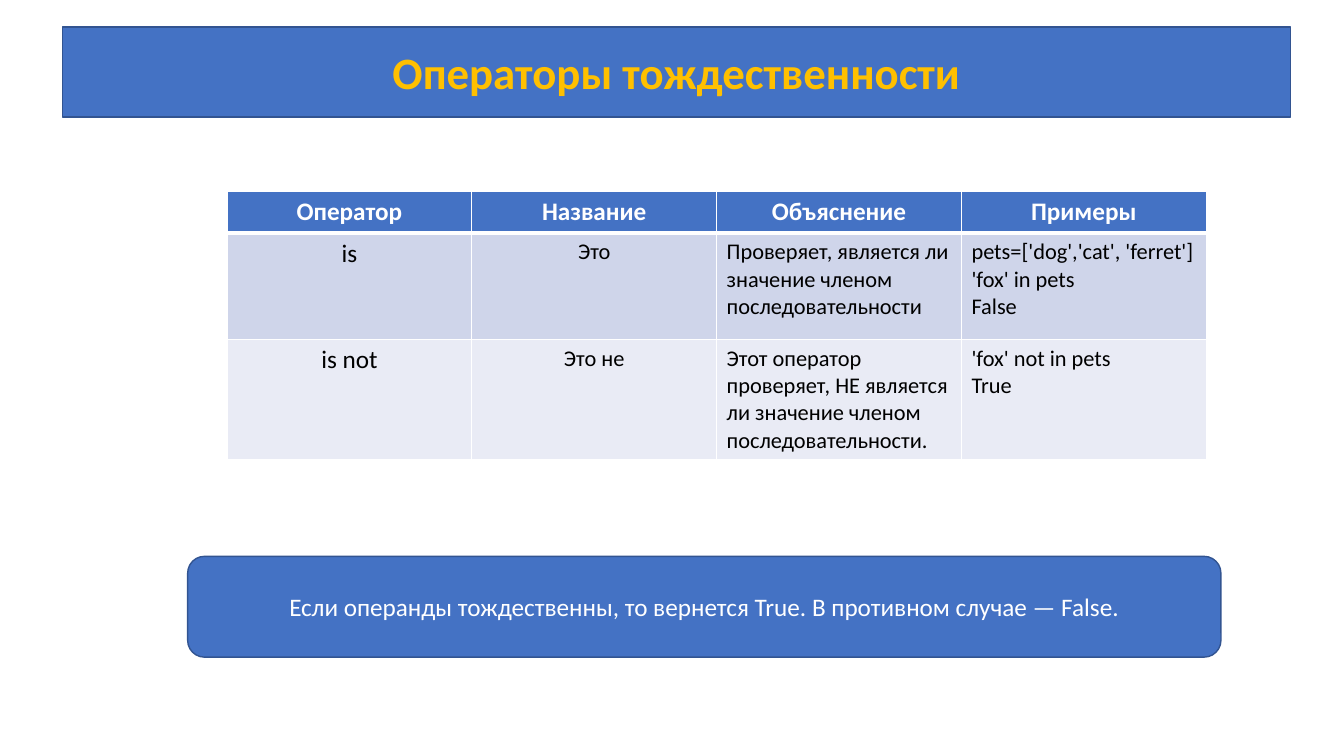
from lxml.etree import SubElement
from pptx import Presentation
from pptx.dml.color import RGBColor
from pptx.enum.shapes import MSO_SHAPE
from pptx.enum.text import MSO_ANCHOR, MSO_AUTO_SIZE, PP_ALIGN
from pptx.oxml.ns import qn
from pptx.util import Cm, Pt

BLUE = RGBColor(0x44, 0x72, 0xC4)
DARK_BLUE = RGBColor(0x32, 0x54, 0x91)
GOLD = RGBColor(0xFF, 0xC0, 0x00)
WHITE = RGBColor(0xFF, 0xFF, 0xFF)
BLACK = RGBColor(0x00, 0x00, 0x00)
BANDS = [RGBColor(0xCF, 0xD5, 0xEA), RGBColor(0xE9, 0xEB, 0xF5)]

HEADER = ["Оператор", "Название", "Объяснение", "Примеры"]
OPERATORS = [
    ["is", "Это", "Проверяет, является ли значение членом последовательности",
     "pets=['dog','cat', 'ferret']\n'fox' in pets\nFalse"],
    ["is not", "Это не",
     "Этот оператор проверяет, НЕ является ли значение членом последовательности.",
     "'fox' not in pets\nTrue"],
]


def write_text(frame, text, size=18, color=WHITE, bold=False,
               align=PP_ALIGN.CENTER, font="Calibri"):
    """Fill a text frame, one paragraph for each line."""
    frame.text = text
    frame.word_wrap = True
    for paragraph in frame.paragraphs:
        paragraph.alignment = align
        for run in paragraph.runs:
            run.font.name = font
            run.font.size = Pt(size)
            run.font.bold = bold
            run.font.color.rgb = color


class SlideBuilder:
    def __init__(self, slide, fill=BLUE, line=DARK_BLUE):
        self.slide = slide
        self.fill = fill
        self.line = line

    def paint(self, shape):
        shape.fill.solid()
        shape.fill.fore_color.rgb = self.fill
        shape.line.color.rgb = self.line
        shape.line.width = Pt(1)
        shape.text_frame.vertical_anchor = MSO_ANCHOR.MIDDLE

    def title(self, text, left, top, width, height):
        shape = self.slide.shapes.title
        shape.left, shape.top = Cm(left), Cm(top)
        shape.width, shape.height = Cm(width), Cm(height)
        self.paint(shape)
        shape.text_frame.auto_size = MSO_AUTO_SIZE.NONE
        write_text(shape.text_frame, text, size=32, color=GOLD, bold=True)

    def note(self, text, left, top, width, height):
        shape = self.slide.shapes.add_shape(
            MSO_SHAPE.ROUNDED_RECTANGLE, Cm(left), Cm(top), Cm(width), Cm(height))
        shape.shadow.inherit = False
        self.paint(shape)
        write_text(shape.text_frame, text)

    def cell(self, cell, text, fill, bottom=1, **text_format):
        properties = cell._tc.get_or_add_tcPr()
        for side, width in (("L", 1), ("R", 1), ("T", 1), ("B", bottom)):
            border = SubElement(properties, qn(f"a:ln{side}"), w=str(Pt(width)))
            solid = SubElement(border, qn("a:solidFill"))
            SubElement(solid, qn("a:srgbClr"), val=str(WHITE))
        cell.fill.solid()
        cell.fill.fore_color.rgb = fill
        write_text(cell.text_frame, text, **text_format)

    def table(self, header, rows, left, top, width, heights):
        table = self.slide.shapes.add_table(
            len(rows) + 1, len(header), Cm(left), Cm(top), Cm(width),
            Cm(sum(heights))).table
        for row, height in zip(table.rows, heights):
            row.height = Cm(height)
        for column, text in enumerate(header):
            self.cell(table.cell(0, column), text, self.fill, bottom=3, bold=True)
        for number, row in enumerate(rows, start=1):
            for column, text in enumerate(row):
                self.cell(table.cell(number, column), text, BANDS[number - 1],
                          size=18 if column == 0 else 16, color=BLACK,
                          align=PP_ALIGN.CENTER if column < 2 else PP_ALIGN.LEFT)


def main():
    presentation = Presentation()
    presentation.slide_width = Cm(33.87)
    presentation.slide_height = Cm(19.05)
    title_only = presentation.slide_layouts[5]
    builder = SlideBuilder(presentation.slides.add_slide(title_only))

    # Title band
    builder.title("Операторы тождественности", 1.57, 0.68, 30.96, 2.27)

    # Table of operators
    builder.table(HEADER, OPERATORS, 5.72, 4.83, 24.68, [1.05, 2.68, 3])

    # Closing note
    builder.note("Если операнды тождественны, то вернется True. "
                 "В противном случае — False.", 4.73, 14.02, 26.04, 2.54)

    presentation.save("out.pptx")


if __name__ == "__main__":
    main()
